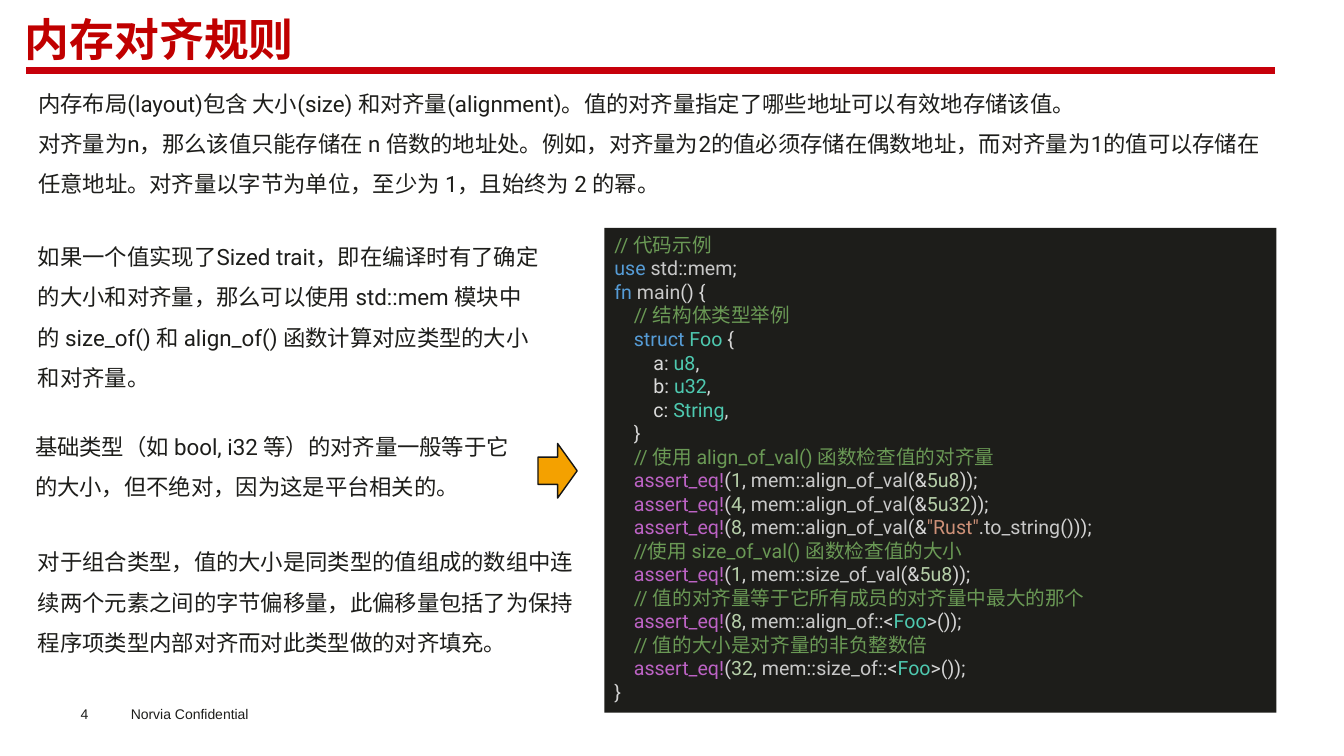
from itertools import groupby

from lxml.etree import SubElement
from pptx import Presentation
from pptx.dml.color import RGBColor
from pptx.enum.shapes import MSO_CONNECTOR as Connector, MSO_SHAPE as Shape
from pptx.enum.text import MSO_ANCHOR as Anchor, PP_ALIGN as Align
from pptx.oxml.ns import qn
from pptx.util import Pt

COLORS = {
    "title": "C00000", "rule": "C7000A", "body": "1D1D1A", "footer": "1D1D1B",
    "panel": "1D1D1A", "arrow": "F4A100", "arrow_edge": "151515",
    "comment": "6A9955", "keyword": "569CD6", "type": "4EC9B0",
    "macro": "BD63C5", "number": "B5CEA8", "string": "CE9178",
    "name": "C8C8C8", "field": "DADADA", "symbol": "D4D4D4",
}
FONTS = {
    "title": {"name": "Roboto", "size": Pt(32), "bold": True},
    "body": {"name": "Roboto", "size": Pt(16)},
    "code": {"name": "Roboto", "size": Pt(14)},
    "footer": {"name": "Arial", "size": Pt(10)},
}
SPACING = {"title": Pt(34.4), "body": 1.5}

INTRO = [
    "内存布局(layout)包含 大小(size) 和对齐量(alignment)。值的对齐量指定了哪些地址可以有效地存储该值。",
    "对齐量为n，那么该值只能存储在 n 倍数的地址处。例如，对齐量为2的值必须存储在偶数地址，"
    "而对齐量为1的值可以存储在任意地址。对齐量以字节为单位，至少为 1，且始终为 2 的幂。",
]
SIZED = ("如果一个值实现了Sized trait，即在编译时有了确定的大小和对齐量，那么可以使用 std::mem 模块"
         "中的 size_of() 和 align_of() 函数计算对应类型的大小和对齐量。")
PRIMITIVE = "基础类型（如 bool, i32 等）的对齐量一般等于它的大小，但不绝对，因为这是平台相关的。"
COMPOSITE = ("对于组合类型，值的大小是同类型的值组成的数组中连续两个元素之间的字节偏移量，"
             "此偏移量包括了为保持程序项类型内部对齐而对此类型做的对齐填充。")
CODE = """// 代码示例
use std::mem;
fn main() {
    // 结构体类型举例
    struct Foo {
        a: u8,
        b: u32,
        c: String,
    }
    // 使用 align_of_val() 函数检查值的对齐量
    assert_eq!(1, mem::align_of_val(&5u8));
    assert_eq!(4, mem::align_of_val(&5u32));
    assert_eq!(8, mem::align_of_val(&"Rust".to_string()));
    //使用 size_of_val() 函数检查值的大小
    assert_eq!(1, mem::size_of_val(&5u8));
    // 值的对齐量等于它所有成员的对齐量中最大的那个
    assert_eq!(8, mem::align_of::<Foo>());
    // 值的大小是对齐量的非负整数倍
    assert_eq!(32, mem::size_of::<Foo>());
}"""
WORD_KINDS = {
    "keyword": {"use", "fn", "struct"},
    "type": {"Foo", "u8", "u32", "String"},
    "field": {"a", "b", "c"},
}


def rgb(role):
    return RGBColor.from_string(COLORS[role])


def apply_font(font, style, color):
    for attribute, value in FONTS[style].items():
        setattr(font, attribute, value)
    font.color.rgb = rgb(color)


def add_text(slide, box, paragraphs, style, margin=None):
    frame = slide.shapes.add_textbox(*map(Pt, box)).text_frame
    frame.word_wrap = True
    if margin is not None:
        for side in ("left", "top", "right", "bottom"):
            setattr(frame, f"margin_{side}", margin)
    frame.text = "\n".join(paragraphs)
    for paragraph in frame.paragraphs:
        paragraph.line_spacing = SPACING.get(style)
        apply_font(paragraph.font, style, style)


def word_kind(word):
    for kind, words in WORD_KINDS.items():
        if word in words:
            return kind
    if word.endswith("!"):
        return "macro"
    if word.startswith('"'):
        return "string"
    return "number" if word[0].isdigit() else "name"


def code_tokens(line):
    """Split a code line into (text, kind) pairs."""
    if line.strip().startswith("//"):
        return [(line, "comment")]
    groups = groupby(line, lambda char: char.isalnum() or char in '_!"')
    pieces = [("".join(chars), is_word) for is_word, chars in groups]
    return [(text, word_kind(text) if is_word else "symbol") for text, is_word in pieces]


def title_bar(slide, box):
    left, top, width, height = box
    add_text(slide, (left - 8, top, 415.5, height), ["内存对齐规则"], "title")
    bottom = top + height
    rule = slide.shapes.add_connector(
        Connector.STRAIGHT, Pt(left), Pt(bottom), Pt(left + width), Pt(bottom))
    rule.line.color.rgb = rgb("rule")
    rule.line.width = Pt(4.5)
    SubElement(rule._element.spPr, qn("a:effectLst"))


def explanations(slide, box):
    left, top, width, height = box
    add_text(slide, (left + 2, top, 375, 123), [SIZED], "body")
    add_text(slide, (left, top + 135.4, 364.3, 71.3), [PRIMITIVE], "body")
    add_text(slide, (left + 2, top + height - 94.3, width - 2, 94.3), [COMPOSITE], "body")
    # Arrow towards the code
    arrow = slide.shapes.add_shape(
        Shape.RIGHT_ARROW, Pt(left + 366.5), Pt(top + 156.2), Pt(28), Pt(39))
    arrow.shadow.inherit = False
    arrow.fill.solid()
    arrow.fill.fore_color.rgb = rgb("arrow")
    arrow.line.color.rgb = rgb("arrow_edge")
    arrow.line.width = Pt(1)


def code_panel(slide, box):
    panel = slide.shapes.add_shape(Shape.RECTANGLE, *map(Pt, box))
    panel.shadow.inherit = False
    panel.fill.solid()
    panel.fill.fore_color.rgb = rgb("panel")
    panel.line.fill.background()
    frame = panel.text_frame
    frame.word_wrap = True
    frame.vertical_anchor = Anchor.TOP
    lines = CODE.split("\n")
    frame.text = "\n" * (len(lines) - 1)
    for paragraph, line in zip(frame.paragraphs, lines):
        paragraph.alignment = Align.LEFT
        for text, kind in code_tokens(line):
            run = paragraph.add_run()
            run.text = text
            apply_font(run.font, "code", kind)


def footer(slide, box):
    left, top, width, height = box
    add_text(slide, (left, top + 3.6, 39.6, 11.5), ["4"], "footer", margin=0)
    add_text(slide, (left + 28.8, top, width - 28.8, height), ["Norvia Confidential"], "footer")


def main():
    deck = Presentation()
    deck.slide_width, deck.slide_height = Pt(960.5), Pt(540)
    slide = deck.slides.add_slide(deck.slide_layouts[6])
    title_bar(slide, (18.7, 8.6, 892.8, 41.8))
    add_text(slide, (20.2, 51.1, 892.8, 94.3), INTRO, "body")
    explanations(slide, (18, 160.6, 407.5, 312.4))
    code_panel(slide, (432, 162.7, 480.2, 346.3))
    footer(slide, (57.6, 500.4, 144, 19.4))
    deck.save("out.pptx")


if __name__ == "__main__":
    main()
